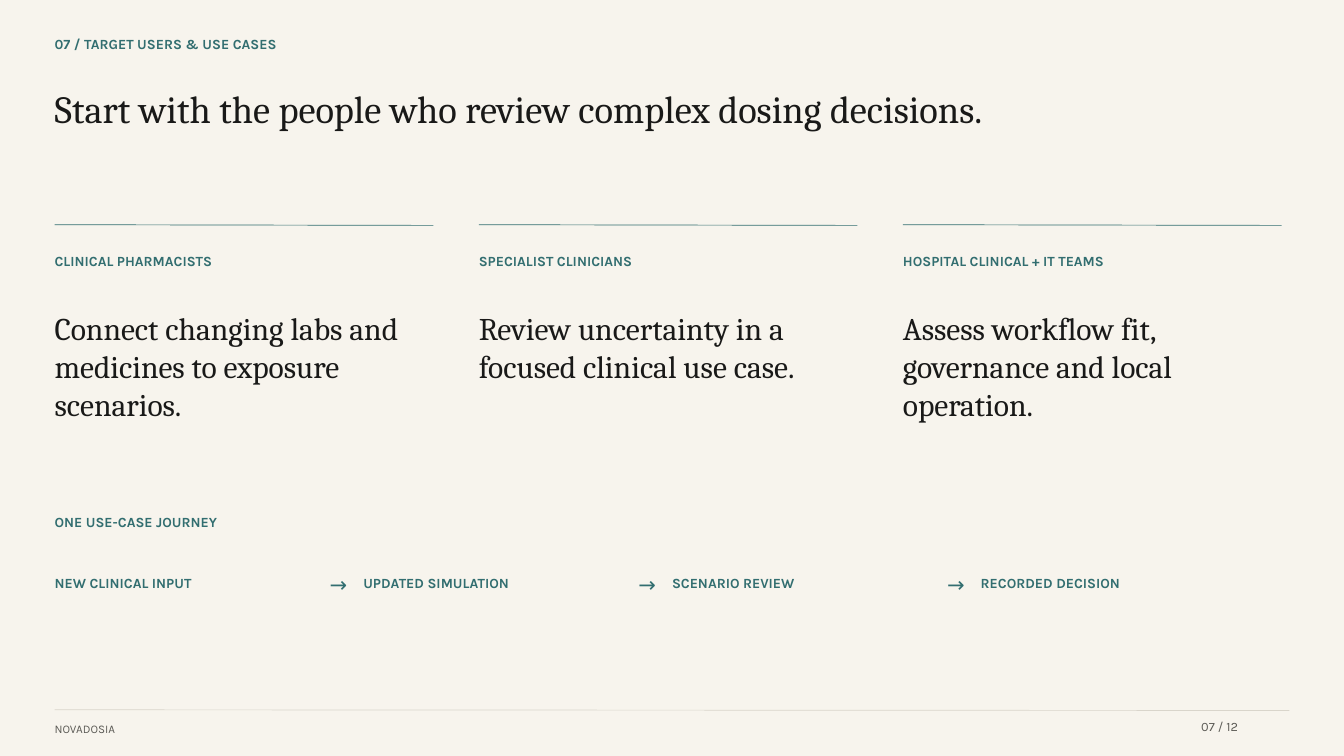
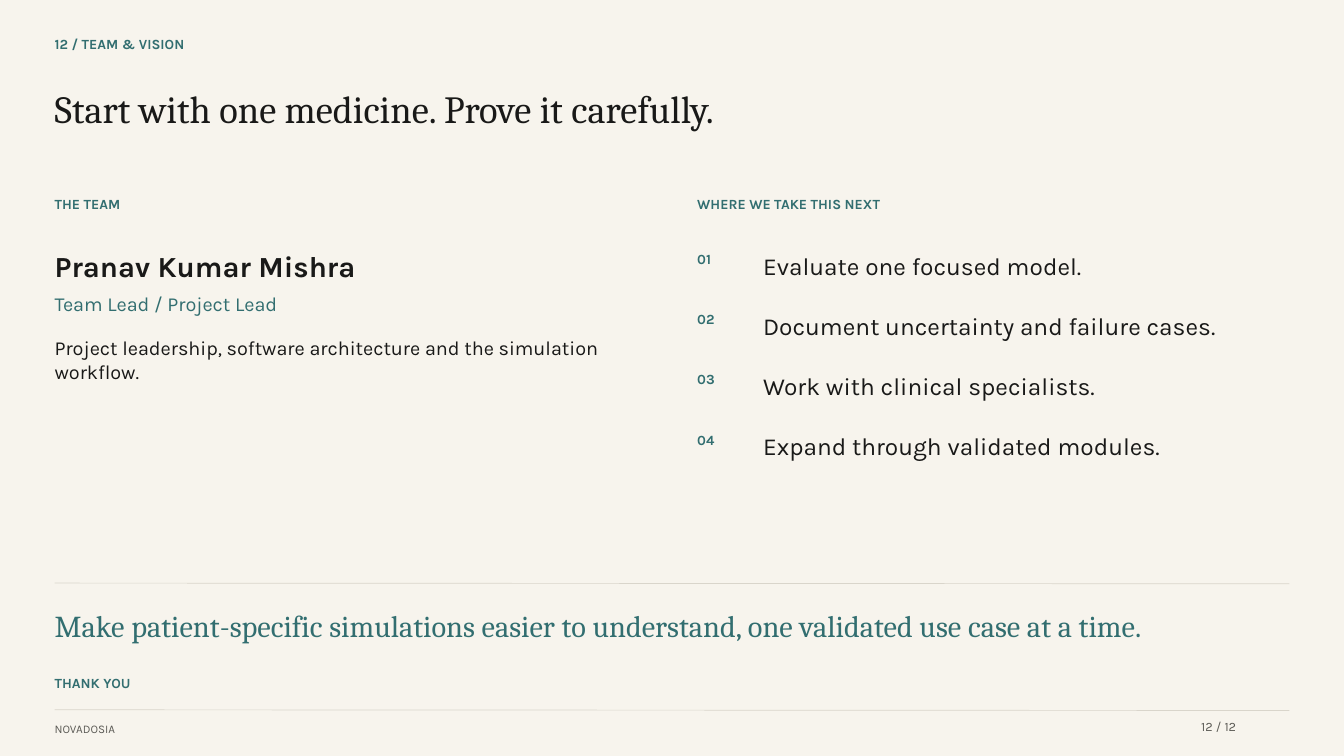
from dataclasses import dataclass

from lxml.etree import SubElement
from pptx import Presentation
from pptx.dml.color import RGBColor
from pptx.enum.shapes import MSO_CONNECTOR
from pptx.enum.text import MSO_ANCHOR, MSO_AUTO_SIZE, PP_ALIGN
from pptx.oxml.ns import qn
from pptx.presentation import Presentation as Deck
from pptx.shapes.base import BaseShape
from pptx.slide import Slide
from pptx.util import Emu, Pt

PAPER = RGBColor(0xF7, 0xF4, 0xED)
INK = RGBColor(0x19, 0x19, 0x18)
TEAL = RGBColor(0x32, 0x6E, 0x70)
RULE = RGBColor(0xD9, 0xD5, 0xCB)
GREY = RGBColor(0x5B, 0x5A, 0x55)
SERIF = "Cambria"
SANS = "Karla"

EMU_PER_PX = 9525
SLIDE_W, SLIDE_H = 1920, 1080
LEFT = 78
CONTENT_W = SLIDE_W - 2 * LEFT
COLUMN_PITCH = 606
STEP_PITCH = 441
ARROW_GAP = 48
NEXT_X, NEXT_Y, NEXT_PITCH = 996, 358, 86
TITLE_LAYOUT, LIST_LAYOUT = 5, 1
BRAND = "NOVADOSIA"
TOTAL = 12


@dataclass(frozen=True)
class Box:
    x: int
    y: int
    w: int
    h: int


@dataclass(frozen=True)
class Audience:
    label: str
    need: str


AUDIENCES = [
    Audience("CLINICAL PHARMACISTS",
             "Connect changing labs and medicines to exposure scenarios."),
    Audience("SPECIALIST CLINICIANS",
             "Review uncertainty in a focused clinical use case."),
    Audience("HOSPITAL CLINICAL + IT TEAMS",
             "Assess workflow fit, governance and local operation."),
]
JOURNEY = ["NEW CLINICAL INPUT", "UPDATED SIMULATION",
           "SCENARIO REVIEW", "RECORDED DECISION"]
NEXT_STEPS = ["Evaluate one focused model.",
              "Document uncertainty and failure cases.",
              "Work with clinical specialists.",
              "Expand through validated modules."]


def px(n: int) -> Emu:
    return Emu(n * EMU_PER_PX)


def write(sp: BaseShape, text: str, box: Box, *, size: float, font: str = SANS,
          color: RGBColor = INK, bold: bool = False, gap: float = 0) -> None:
    sp.left, sp.top, sp.width, sp.height = map(px, (box.x, box.y, box.w, box.h))
    tf = sp.text_frame
    tf.text = text
    tf.word_wrap = True
    tf.auto_size = MSO_AUTO_SIZE.SHAPE_TO_FIT_TEXT
    tf.vertical_anchor = MSO_ANCHOR.TOP
    tf.margin_left = tf.margin_top = tf.margin_right = tf.margin_bottom = 0
    for i, p in enumerate(tf.paragraphs):
        if sp.is_placeholder:
            pPr = p._p.get_or_add_pPr()
            pPr.set("marL", "0")
            pPr.set("indent", "0")
            SubElement(pPr, qn("a:buNone"))
        p.alignment = PP_ALIGN.LEFT
        p.line_spacing = Pt(size * 6 / 5)
        p.space_before = Pt(gap if i else 0)
        for r in p.runs:
            r.font.name = font
            r.font.size = Pt(size)
            r.font.bold = bold
            r.font.color.rgb = color


def add_text(s: Slide, text: str, box: Box, **fmt) -> None:
    write(s.shapes.add_textbox(0, 0, 0, 0), text, box, **fmt)


def add_label(s: Slide, text: str, x: int, y: int, w: int) -> None:
    add_text(s, text, Box(x, y, w, 42), size=15, color=TEAL, bold=True)


def add_rule(s: Slide, x: int, y: int, w: int, color: RGBColor) -> None:
    line = s.shapes.add_connector(MSO_CONNECTOR.STRAIGHT,
                                  px(x), px(y), px(x + w), px(y + 1))
    line.line.color.rgb = color
    line.line.width = Pt(0.75)
    SubElement(line._element.spPr, qn("a:effectLst"))


def add_slide(prs: Deck, layout: int, number: int, section: str, title: str) -> Slide:
    s = prs.slides.add_slide(prs.slide_layouts[layout])
    write(s.shapes.title, title, Box(LEFT, 121, CONTENT_W, 129),
          size=41.25, font=SERIF)
    add_label(s, f"{number:02} / {section}", LEFT, 51, 1680)
    add_rule(s, LEFT, 1014, CONTENT_W, RULE)
    add_text(s, BRAND, Box(LEFT, 1031, 1440, 25), size=12.5, color=GREY)
    add_text(s, f"{number:02} / {TOTAL}", Box(1716, 1027, 126, 31),
             size=13.75, color=GREY)
    return s


def add_users_slide(prs: Deck) -> None:
    s = add_slide(prs, TITLE_LAYOUT, 7, "TARGET USERS & USE CASES",
                  "Start with the people who review complex dosing decisions.")
    for i, audience in enumerate(AUDIENCES):
        x = LEFT + i * COLUMN_PITCH
        add_rule(s, x, 321, 541, TEAL)
        add_label(s, audience.label, x, 361, 552)
        add_text(s, audience.need, Box(x, 442, 546, 205), size=33.75, font=SERIF)

    add_label(s, "ONE USE-CASE JOURNEY", LEFT, 734, 1680)
    for i, step in enumerate(JOURNEY):
        x = LEFT + i * STEP_PITCH
        if i:
            add_text(s, "→", Box(x - ARROW_GAP, 816, 42, 48), size=22.5, color=TEAL)
        add_label(s, step, x, 820, 399)


def add_team_slide(prs: Deck) -> None:
    s = add_slide(prs, LIST_LAYOUT, 12, "TEAM & VISION",
                  "Start with one medicine. Prove it carefully.")
    add_label(s, "THE TEAM", LEFT, 279, 852)
    add_text(s, "Pranav Kumar Mishra", Box(LEFT, 355, 840, 48), size=31.25, bold=True)
    add_text(s, "Team Lead / Project Lead", Box(LEFT, 416, 840, 67),
             size=21.25, color=TEAL)
    add_text(s, "Project leadership, software architecture and the simulation workflow.",
             Box(LEFT, 480, 840, 69), size=21.25)

    add_label(s, "WHERE WE TAKE THIS NEXT", NEXT_X, 279, 840)
    for i in range(len(NEXT_STEPS)):
        add_label(s, f"{i + 1:02}", NEXT_X, NEXT_Y + i * NEXT_PITCH, 72)
    write(s.placeholders[1], "\n".join(NEXT_STEPS),
          Box(1090, NEXT_Y, 750, 300), size=26.25, gap=33)

    add_rule(s, LEFT, 833, CONTENT_W, RULE)
    add_text(s, "Make patient-specific simulations easier to understand, "
                "one validated use case at a time.",
             Box(LEFT, 868, CONTENT_W, 79), size=32.5, font=SERIF, color=TEAL)
    add_label(s, "THANK YOU", LEFT, 964, 1680)


def main() -> None:
    prs = Presentation()
    prs.slide_width, prs.slide_height = px(SLIDE_W), px(SLIDE_H)
    fill = prs.slide_master.background.fill
    fill.solid()
    fill.fore_color.rgb = PAPER
    add_users_slide(prs)
    add_team_slide(prs)
    prs.save("out.pptx")


if __name__ == "__main__":
    main()
